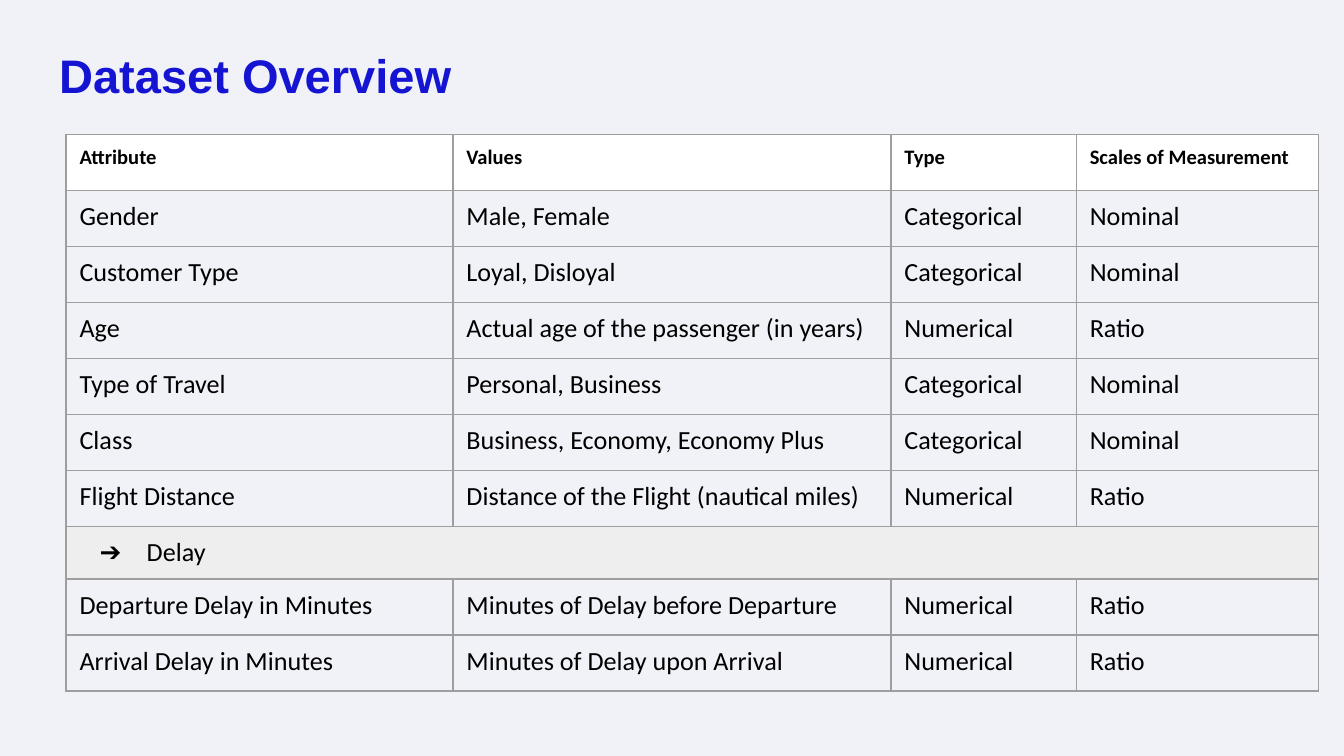
from lxml import etree
from pptx import Presentation, util as u
from pptx.dml.color import RGBColor
from pptx.enum import text
from pptx.oxml import ns

PX = 3810
HEX = {"back": "F1F2F7", "title": "1414D2", "ink": "000000",
       "head": "FFFFFF", "group": "EEEEEE", "line": "9E9E9E"}
COLS = [691, 782, 331, 432]
TALL, SHORT = 100, 82
PAD = {"margin_left": 24, "margin_right": 24, "margin_top": 19, "margin_bottom": 19}
HEAD = {"name": "Calibri", "size": u.Pt(11), "bold": True}
BODY = {"name": "Calibri", "size": u.Pt(14), "bold": False}
TITLE = {"name": "Arial", "size": u.Pt(25.2), "bold": True}
CAT, NUM = ("Categorical", "Nominal"), ("Numerical", "Ratio")
ROWS = [
    ("Attribute", "Values", "Type", "Scales of Measurement"),
    ("Gender", "Male, Female", *CAT),
    ("Customer Type", "Loyal, Disloyal", *CAT),
    ("Age", "Actual age of the passenger (in years)", *NUM),
    ("Type of Travel", "Personal, Business", *CAT),
    ("Class", "Business, Economy, Economy Plus", *CAT),
    ("Flight Distance", "Distance of the Flight (nautical miles)", *NUM),
    ("Delay",),
    ("Departure Delay in Minutes", "Minutes of Delay before Departure", *NUM),
    ("Arrival Delay in Minutes", "Minutes of Delay upon Arrival", *NUM),
]


def px(*nums):
    """Turn px lengths into EMU."""
    return [u.Emu(n * PX) for n in nums]


def rgb(key):
    """Look up a colour by its role."""
    return RGBColor.from_string(HEX[key])


def add(parent, tag, **attrs):
    """Append a DrawingML child with attributes."""
    return etree.SubElement(parent, ns.qn("a:" + tag), attrs)


def write(para, words, style, color):
    """Put styled words in a paragraph."""
    run = para.add_run()
    run.text = words
    for key, val in style.items():
        setattr(run.font, key, val)
    run.font.color.rgb = rgb(color)


def title(slide, words):
    """Add the slide title."""
    frame = slide.shapes.add_textbox(*px(82, 57, 2236, 150)).text_frame
    frame.word_wrap = True
    frame.vertical_anchor = text.MSO_ANCHOR.BOTTOM
    for side in PAD:
        setattr(frame, side, px(24)[0])
    write(frame.paragraphs[0], words, TITLE, "title")


def bullet(para):
    """Give a paragraph an arrow bullet with a hanging indent."""
    prop = para._p.get_or_add_pPr()
    left, hang = px(120, -84)
    prop.set("marL", str(left))
    prop.set("indent", str(hang))
    add(add(prop, "buClr"), "srgbClr", val=HEX["ink"])
    add(prop, "buFont", typeface="Calibri")
    add(prop, "buChar", char="➔")


def frame_cell(cell, fill):
    """Set the padding, border and fill of a cell."""
    for side, num in PAD.items():
        setattr(cell, side, px(num)[0])
    prop = cell._tc.get_or_add_tcPr()
    for side in "LRTB":
        line = add(prop, "ln" + side, w=str(u.Pt(0.75)))
        add(add(line, "solidFill"), "srgbClr", val=HEX["line"])
    if fill:
        cell.fill.solid()
        cell.fill.fore_color.rgb = rgb(fill)
    else:
        cell.fill.background()


def grid(slide):
    """Add the attribute table."""
    highs = [SHORT if len(row) == 1 else TALL for row in ROWS]
    size = px(118, 240, sum(COLS), sum(highs))
    table = slide.shapes.add_table(len(ROWS), len(COLS), *size).table
    table.first_row = table.horz_banding = False
    for col, wide in zip(table.columns, px(*COLS)):
        col.width = wide
    for i, (row, high) in enumerate(zip(ROWS, px(*highs))):
        table.rows[i].height = high
        group = len(row) == 1
        fill = "head" if i == 0 else "group" if group else None
        for j in range(len(COLS)):
            frame_cell(table.cell(i, j), fill)
        if group:
            table.cell(i, 0).merge(table.cell(i, len(COLS) - 1))
            bullet(table.cell(i, 0).text_frame.paragraphs[0])
        for j, words in enumerate(row):
            para = table.cell(i, j).text_frame.paragraphs[0]
            write(para, words, BODY if i else HEAD, "ink")


def main():
    """Build and save the slide."""
    deck = Presentation()
    deck.slide_width, deck.slide_height = px(2400, 1350)
    slide = deck.slides.add_slide(deck.slide_layouts[6])
    slide.background.fill.solid()
    slide.background.fill.fore_color.rgb = rgb("back")
    title(slide, "Dataset Overview")
    grid(slide)
    deck.save("out.pptx")


if __name__ == "__main__":
    main()
